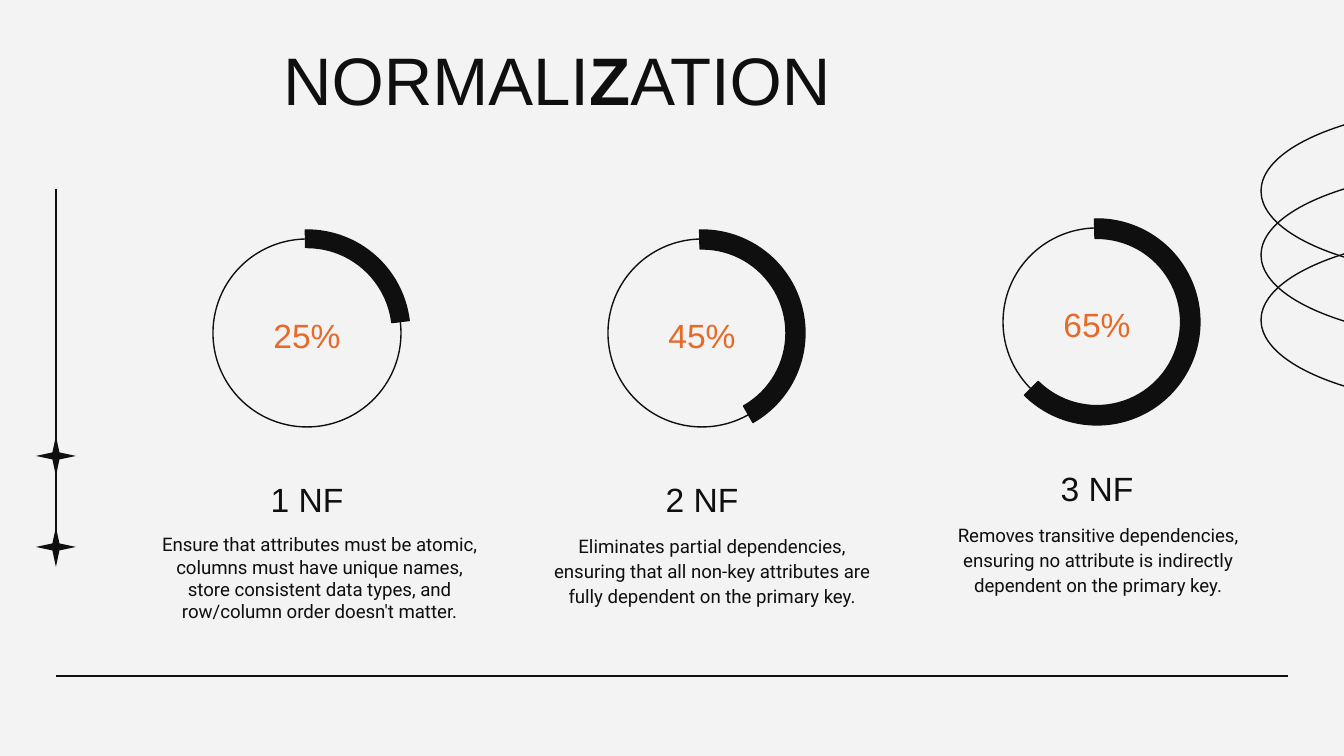
from dataclasses import dataclass

from lxml import etree
from pptx import Presentation, util as u
from pptx.dml.color import RGBColor
from pptx.enum import shapes, text
from pptx.oxml.ns import qn

EMU_PER_PX = 914400 / 134.4


@dataclass(frozen=True)
class Theme:
    background: str = "F3F3F3"
    ink: str = "0F0F0F"
    accent: str = "E76A28"
    heading_font: str = "Arial"
    body_font: str = "Roboto"
    title_size: int = 36
    heading_size: int = 18
    body_size: int = 10
    line_width: float = 0.75


@dataclass(frozen=True)
class NormalForm:
    name: str
    percent: str
    description: str
    description_left: int
    description_width: int
    line_spacing: float
    arc: tuple  # start angle, end angle, thickness ratio
    rise: int = 0


THEME = Theme()
FIRST_CENTER, COLUMN_PITCH = 307, 395
NORMAL_FORMS = [
    NormalForm("1 NF", "25%",
               "Ensure that attributes must be atomic, columns must have unique names, "
               "store consistent data types, and row/column order doesn't matter.",
               146, 347, 1.0, (186.97, 270.89, 0.085)),
    NormalForm("2 NF", "45%",
               "Eliminates partial dependencies, ensuring that all non-key attributes "
               "are fully dependent on the primary key.",
               534, 356, 1.1, (119.65, 271.3, 0.092)),
    NormalForm("3 NF", "65%",
               "Removes transitive dependencies, ensuring no attribute is indirectly "
               "dependent on the primary key.",
               938, 320, 1.1, (45.32, 271.35, 0.094), rise=11),
]


def px(length):
    return u.Emu(round(length * EMU_PER_PX))


def color(value):
    return RGBColor.from_string(value)


def place(shape, left, top, width, height):
    shape.left, shape.top = px(left), px(top)
    shape.width, shape.height = px(width), px(height)


def write_text(shape, runs, *, size, font=THEME.heading_font, fill=THEME.ink,
               align=text.PP_ALIGN.CENTER, anchor=text.MSO_ANCHOR.TOP,
               line_spacing=1.0, inset_top=13):
    """Fill a shape with one paragraph; runs is a list of (words, bold)."""
    frame = shape.text_frame
    frame.word_wrap = True
    frame.auto_size = text.MSO_AUTO_SIZE.NONE
    frame.vertical_anchor = anchor
    frame.margin_left = frame.margin_right = frame.margin_bottom = px(13)
    frame.margin_top = px(inset_top)
    paragraph = frame.paragraphs[0]
    paragraph.alignment = align
    paragraph.line_spacing = line_spacing
    for words, bold in runs:
        run = paragraph.add_run()
        run.text = words
        run.font.name, run.font.size, run.font.bold = font, u.Pt(size), bold
        run.font.color.rgb = color(fill)


def add_label(slide, words, box, **style):
    shape = slide.shapes.add_textbox(*map(px, box))
    write_text(shape, [(words, False)], **style)


def add_line(slide, start, end):
    line = slide.shapes.add_connector(
        shapes.MSO_CONNECTOR.STRAIGHT, *map(px, (*start, *end)))
    line.line.color.rgb = color(THEME.ink)
    line.line.width = u.Pt(THEME.line_width)
    etree.SubElement(line._element.spPr, qn("a:effectLst"))


def add_figure(slide, kind, box, *, filled=False, outlined=True, adjustments=()):
    shape = slide.shapes.add_shape(kind, *map(px, box))
    shape.shadow.inherit = False
    for index, value in enumerate(adjustments):
        shape.adjustments[index] = value
    if filled:
        shape.fill.solid()
        shape.fill.fore_color.rgb = color(THEME.ink)
    else:
        shape.fill.background()
    if outlined:
        shape.line.color.rgb = color(THEME.ink)
        shape.line.width = u.Pt(THEME.line_width)
    else:
        shape.line.fill.background()
    return shape


def add_decoration(slide):
    add_line(slide, (56, 676), (1288, 676))
    for top in (-40, 24, 89):
        ellipse = add_figure(slide, shapes.MSO_SHAPE.OVAL, (1406, top, 172, 462))
        ellipse.rotation = 90
    add_line(slide, (56, 189), (56, 558))
    for top in (436, 527):
        add_figure(slide, shapes.MSO_SHAPE.STAR_4_POINT, (36, top, 40, 40),
                   filled=True, outlined=False, adjustments=(0.125,))


def add_title(slide):
    title = slide.shapes.title
    place(title, 270, 19, 801, 108)
    write_text(title, [("NORMALI", False), ("Z", True), ("ATION", False)],
               size=THEME.title_size, align=text.PP_ALIGN.LEFT, inset_top=19)


def add_progress_ring(slide, form, center):
    add_figure(slide, shapes.MSO_SHAPE.OVAL,
               (center - 94, 239 - form.rise, 188, 188))
    start, end, thickness = form.arc
    # python-pptx scales adjustments by 100000; angles are in 1/60000 degree
    arc = add_figure(slide, shapes.MSO_SHAPE.BLOCK_ARC,
                     (center - 103, 230 - form.rise, 206, 206), filled=True,
                     adjustments=(start * 0.6, end * 0.6, thickness))
    arc._element.spPr.get_or_add_xfrm().set("flipH", "1")
    add_label(slide, form.percent, (center - 73, 309 - form.rise, 146, 59),
              size=THEME.heading_size, fill=THEME.accent,
              anchor=text.MSO_ANCHOR.BOTTOM)


def add_normal_form(slide, form, center):
    add_progress_ring(slide, form, center)
    add_label(slide, form.name, (center - 160, 458 - form.rise, 320, 74),
              size=THEME.heading_size, anchor=text.MSO_ANCHOR.BOTTOM)
    add_label(slide, form.description,
              (form.description_left, 520 - form.rise, form.description_width, 108),
              size=THEME.body_size, font=THEME.body_font,
              line_spacing=form.line_spacing)


def main():
    presentation = Presentation()
    presentation.slide_width, presentation.slide_height = px(1344), px(756)
    slide = presentation.slides.add_slide(presentation.slide_layouts[5])
    slide.background.fill.solid()
    slide.background.fill.fore_color.rgb = color(THEME.background)
    add_decoration(slide)
    add_title(slide)
    for index, form in enumerate(NORMAL_FORMS):
        add_normal_form(slide, form, FIRST_CENTER + index * COLUMN_PITCH)
    presentation.save("out.pptx")


if __name__ == "__main__":
    main()
